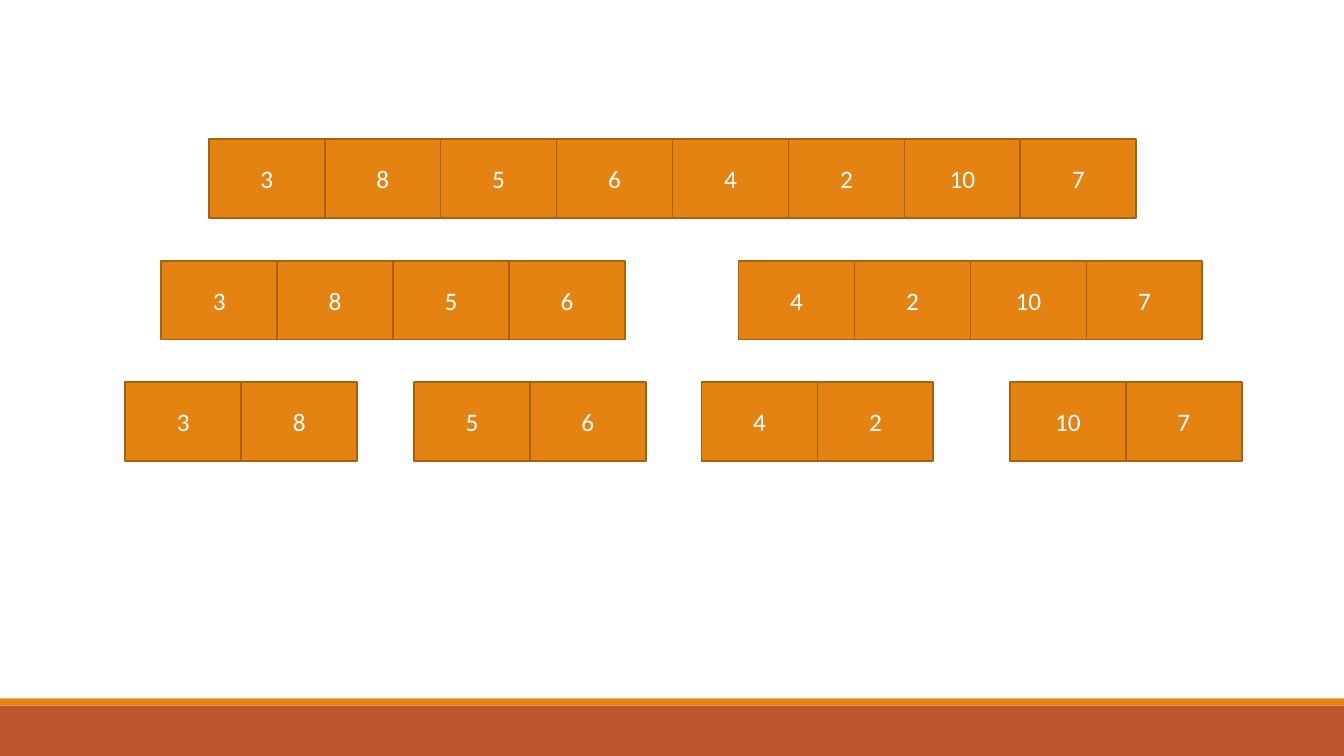
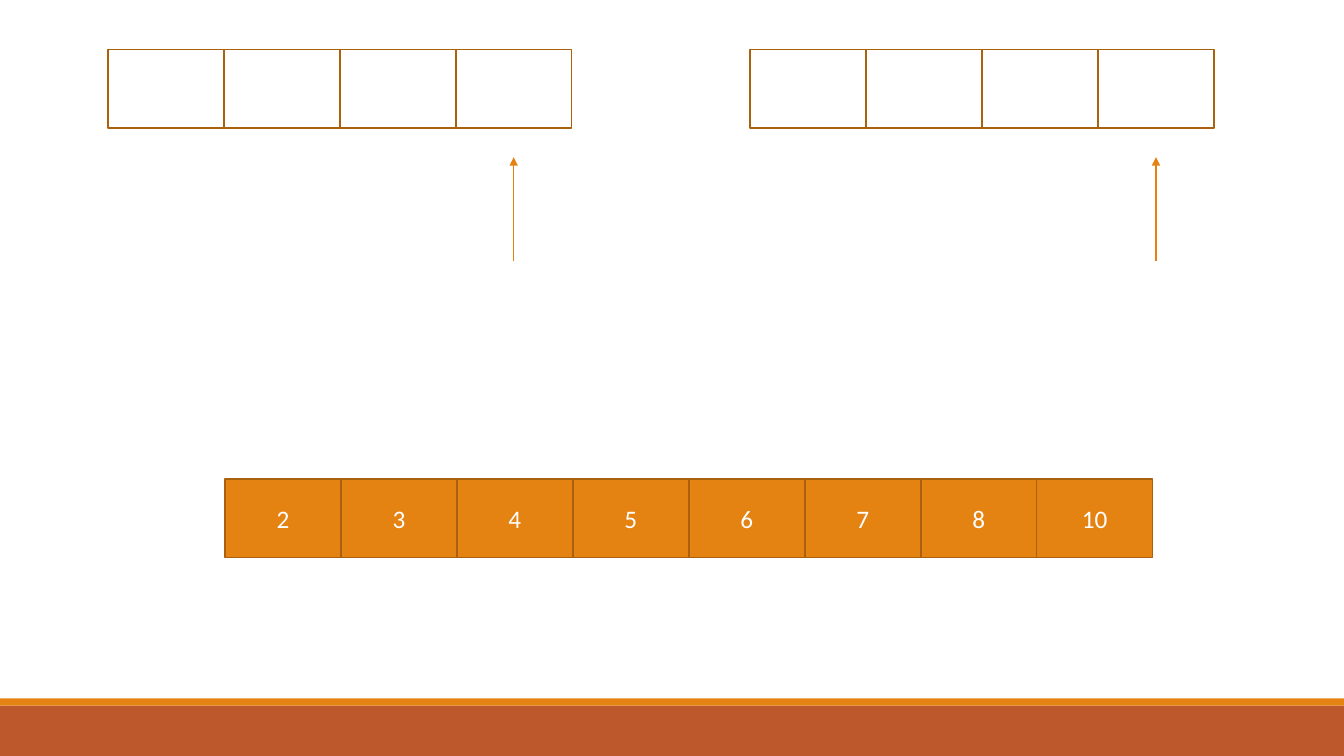
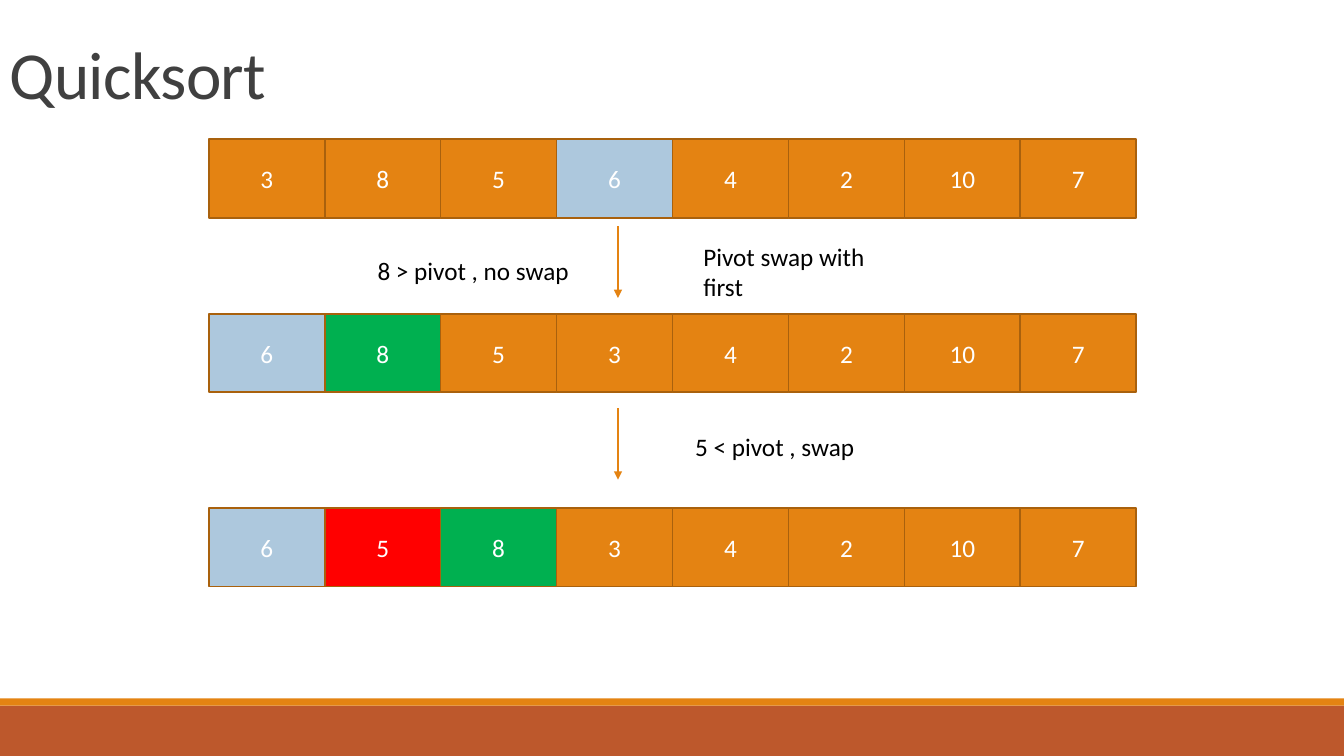
from lxml.etree import SubElement as Sub
from pptx import Presentation
from pptx.dml.color import RGBColor as Rgb
from pptx.enum.shapes import MSO_CONNECTOR as Conn, MSO_SHAPE as Shape
from pptx.enum.text import MSO_ANCHOR as Anchor, PP_ALIGN as Align
from pptx.oxml.ns import qn
from pptx.util import Inches, Pt

WIDE, HIGH = 13.33, 7.5
COL, ROW = 1.15, 0.78
FONT = "Calibri"
HUES = {
    "cell": "E48312", "edge": "A9610D", "base": "BD582C", "white": "FFFFFF",
    "pivot": "ADC8DD", "big": "00B050", "small": "FF0000",
    "title": "404040", "text": "000000",
}
LIST = ["3", "8", "5", "6", "4", "2", "10", "7"]


def hue(name):
    """Look up a named colour."""
    return Rgb.from_string(HUES[name])


def place(col, row, cols, rows):
    """Turn grid columns and rows into lengths."""
    return [Inches(n * unit) for n, unit in zip((col, row, cols, rows), (COL, ROW, COL, ROW))]


def write(shape, text, size, color, align=Align.LEFT, anchor=Anchor.TOP):
    """Put one styled paragraph in a shape and return the paragraph."""
    frame = shape.text_frame
    frame.word_wrap = True
    frame.vertical_anchor = anchor
    para = frame.paragraphs[0]
    para.text = text
    para.alignment = align
    for run in para.runs:
        run.font.size = Pt(size)
        run.font.name = FONT
        run.font.color.rgb = hue(color)
    return para


def block(slide, box, fill, edge=None):
    """Draw a flat rectangle, outlined if an edge colour is named."""
    shape = slide.shapes.add_shape(Shape.RECTANGLE, *box)
    shape.shadow.inherit = False
    shape.fill.solid()
    shape.fill.fore_color.rgb = hue(fill)
    if edge:
        shape.line.color.rgb = hue(edge)
        shape.line.width = Pt(1.25)
    else:
        shape.line.fill.background()
    return shape


def array(slide, col, row, items, marks=None, fill="cell"):
    """Draw a row of cells from a grid point, with marked cells recoloured."""
    marks = marks or {}
    for i, item in enumerate(items):
        cell = block(slide, place(col + i, row, 1, 1), marks.get(i, fill), "edge")
        if item:
            write(cell, item, 18, "white", Align.CENTER, Anchor.MIDDLE)


def arrow(slide, col, start, end):
    """Draw an upright arrow in a column between two rows."""
    x, top, _, _ = place(col, start, 0, 0)
    line = slide.shapes.add_connector(Conn.STRAIGHT, x, top, x, Inches(end * ROW))
    line.line.color.rgb = hue("cell")
    line.line.width = Pt(1)
    props = line._element.spPr
    Sub(props.find(qn("a:ln")), qn("a:tailEnd"), type="triangle")
    Sub(props, qn("a:effectLst"))


def label(slide, box, text):
    """Add a plain note in a grid box."""
    write(slide.shapes.add_textbox(*place(*box)), text, 18, "text")


def title(slide, box, text):
    """Add the slide title in a grid box."""
    para = write(slide.shapes.add_textbox(*place(*box)), text, 48, "title", anchor=Anchor.BOTTOM)
    para.line_spacing = 0.85
    para.runs[0].font._element.set("spc", "-50")


def start(deck):
    """Add a blank slide with the two bottom bands."""
    slide = deck.slides.add_slide(deck.slide_layouts[6])
    for top, tall, fill in ((7, 0.5, "base"), (6.93, 0.07, "cell")):
        block(slide, [Inches(n) for n in (0, top, WIDE, tall)], fill)
    return slide


def split(deck):
    """Build the slide that halves the list level by level."""
    slide = start(deck)
    levels = ((1.77, [1.8]), (3.32, [1.39, 6.37]), (4.86, [1.08, 3.57, 6.05, 8.71]))
    for row, cols in levels:
        size = len(LIST) // len(cols)
        for i, col in enumerate(cols):
            array(slide, col, row, LIST[i * size:(i + 1) * size])


def merge(deck):
    """Build the slide with two emptied halves and the sorted list."""
    slide = start(deck)
    half = len(LIST) // 2
    for col in (0.93, 6.47):
        array(slide, col, 0.63, [""] * half, fill="white")
        arrow(slide, col + half - 0.5, 3.32, 2)
    array(slide, 1.94, 6.09, sorted(LIST, key=int))


def quick(deck):
    """Build the slide with the first quicksort steps."""
    slide = start(deck)
    title(slide, (0, 0.15, 9.57, 1.35), "Quicksort")
    rest = LIST[4:]
    steps = (
        (1.77, LIST, {3: "pivot"}),
        (3.99, ["6", "8", "5", "3"] + rest, {0: "pivot", 1: "big"}),
        (6.46, ["6", "5", "8", "3"] + rest, {0: "pivot", 1: "small", 2: "big"}),
    )
    for row, items, marks in steps:
        array(slide, 1.8, row, items, marks)
    for top in (2.88, 5.19):
        arrow(slide, 5.33, top, top + 0.91)
    label(slide, (5.91, 5.42, 1.57, 0.51), "5 < pivot , swap")
    label(slide, (5.98, 3, 1.65, 0.91), "Pivot swap with first")
    label(slide, (3.17, 3.18, 1.94, 0.51), "8 > pivot , no swap")


def main():
    """Build and save the deck."""
    deck = Presentation()
    deck.slide_width, deck.slide_height = Inches(WIDE), Inches(HIGH)
    for build in (split, merge, quick):
        build(deck)
    deck.save("out.pptx")


if __name__ == "__main__":
    main()
